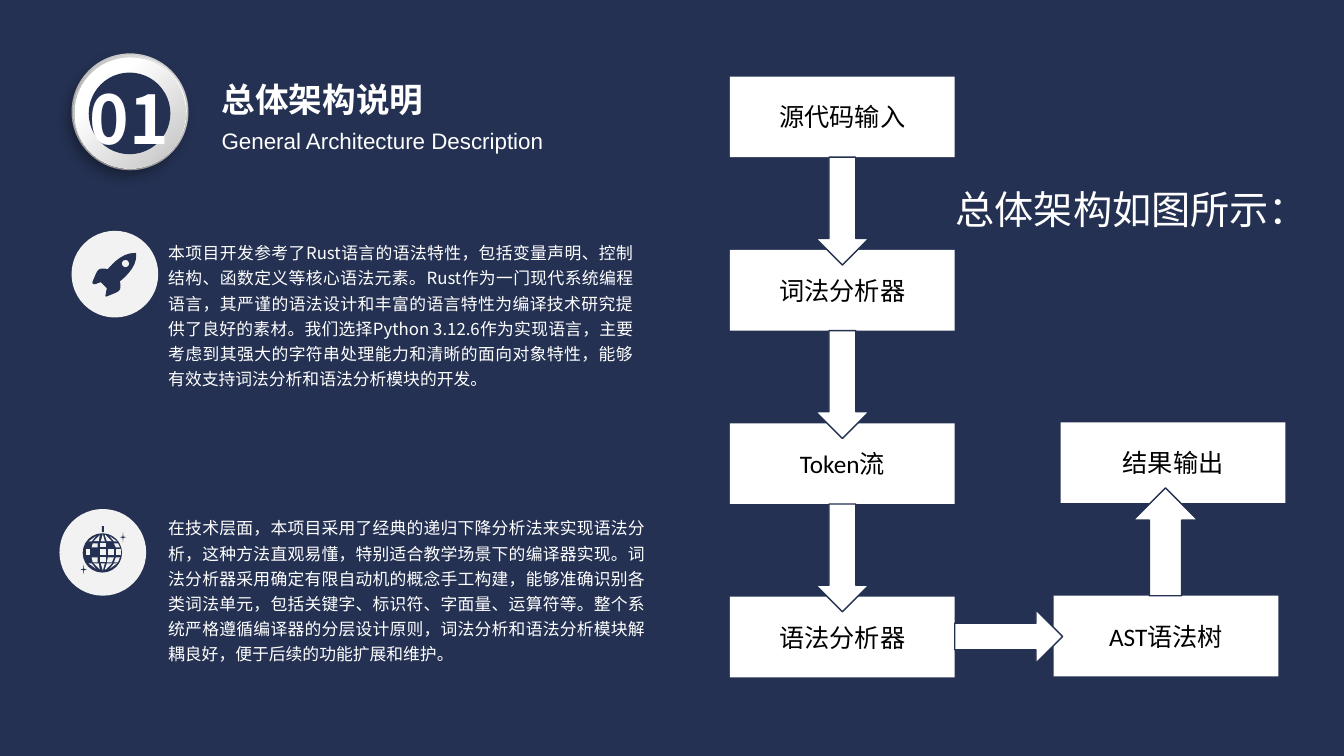
from lxml import etree
from pptx import Presentation
from pptx.dml.color import RGBColor
from pptx.enum.shapes import MSO_SHAPE
from pptx.enum.text import MSO_ANCHOR, PP_ALIGN
from pptx.oxml.ns import qn
from pptx.util import Inches, Pt

RECTANGLE, OVAL, STAR = MSO_SHAPE.RECTANGLE, MSO_SHAPE.OVAL, MSO_SHAPE.STAR_4_POINT
DOWN, RIGHT, UP = MSO_SHAPE.DOWN_ARROW, MSO_SHAPE.RIGHT_ARROW, MSO_SHAPE.UP_ARROW
CENTER, LEFT, JUSTIFY = PP_ALIGN.CENTER, PP_ALIGN.LEFT, PP_ALIGN.JUSTIFY
TOP, MIDDLE = MSO_ANCHOR.TOP, MSO_ANCHOR.MIDDLE

COLORS = {
    "navy": "243152", "white": "FFFFFF", "black": "000000", "disc": "F2F2F2",
    "rim": "D3D3D3", "outer": "B8B8B8", "inner": "BFBFBF",
}
CJK_FONT = "Noto Sans CJK SC"

SYNTAX_TEXT = (
    "本项目开发参考了Rust语言的语法特性，包括变量声明、控制结构、函数定义等核心语法元素。"
    "Rust作为一门现代系统编程语言，其严谨的语法设计和丰富的语言特性为编译技术研究提供了良好的素材。"
    "我们选择Python 3.12.6作为实现语言，主要考虑到其强大的字符串处理能力和清晰的面向对象特性，"
    "能够有效支持词法分析和语法分析模块的开发。"
)
TECHNIQUE_TEXT = (
    "在技术层面，本项目采用了经典的递归下降分析法来实现语法分析，这种方法直观易懂，"
    "特别适合教学场景下的编译器实现。词法分析器采用确定有限自动机的概念手工构建，"
    "能够准确识别各类词法单元，包括关键字、标识符、字面量、运算符等。"
    "整个系统严格遵循编译器的分层设计原则，词法分析和语法分析模块解耦良好，便于后续的功能扩展和维护。"
)

# Each rocket segment holds the control points after its start: three for a curve, one for a line.
ROCKET_START = (1.19, 2.79)
ROCKET = [
    [(1.19, 2.79), (1.37, 2.66), (1.35, 2.52)], [(1.35, 2.51)],
    [(1.34, 2.51), (1.34, 2.51), (1.34, 2.51)],
    [(1.2, 2.5), (1.07, 2.67), (1.07, 2.67)],
    [(0.96, 2.65), (0.97, 2.68), (0.92, 2.79)],
    [(0.91, 2.82), (0.93, 2.82), (0.95, 2.82)],
    [(0.96, 2.81), (1, 2.8), (1, 2.8)], [(1.06, 2.86)],
    [(1.06, 2.86), (1.05, 2.9), (1.05, 2.92)],
    [(1.04, 2.93), (1.05, 2.95), (1.06, 2.94)],
    [(1.18, 2.89), (1.21, 2.9), (1.19, 2.79)],
]

GLOBE_CENTER = (1.02, 5.48)
# Lit cells as offsets from the globe's centre: top, bottom, then left and right at each.
POLAR_CELLS = [
    (-0.16, -0.11, -0.07, -0.07, -0.14, -0.11), (-0.17, -0.11, -0.03, -0.03, -0.09, -0.04),
    (-0.18, -0.11, 0, 0, -0.02, 0.02),
    (-0.17, -0.11, 0.02, 0.03, 0.04, 0.09), (-0.16, -0.11, 0.07, 0.07, 0.11, 0.14),
]
BELT_CELLS = [
    (-0.09, -0.05, -0.1, -0.05, -0.11, -0.05), (-0.09, -0.05, -0.03, 0.03, -0.03, 0.03),
    (-0.09, -0.05, 0.11, 0.15, 0.13, 0.17),
    (-0.03, 0.03, -0.17, -0.13, -0.17, -0.13), (-0.03, 0.03, -0.03, 0.03, -0.03, 0.03),
    (-0.03, 0.03, 0.05, 0.11, 0.05, 0.11), (-0.03, 0.03, 0.13, 0.18, 0.13, 0.18),
    (0.05, 0.1, -0.11, -0.05, -0.1, -0.05), (0.05, 0.1, -0.03, 0.03, -0.03, 0.03),
    (0.05, 0.1, 0.05, 0.11, 0.04, 0.09), (0.05, 0.1, 0.13, 0.17, 0.11, 0.15),
]


def sample_curves(start, segments, steps=8):
    """Turn lines and cubic curves into a list of points."""
    points = [start]
    for segment in segments:
        if len(segment) == 1:
            points += segment
            continue
        corners = [points[-1], *segment]
        for step in range(1, steps + 1):
            t = step / steps
            weights = [(1 - t) ** 3, 3 * t * (1 - t) ** 2, 3 * t * t * (1 - t), t ** 3]
            points.append(tuple(sum(w * c[axis] for w, c in zip(weights, corners))
                                for axis in (0, 1)))
    return points


def color(name):
    return RGBColor.from_string(COLORS[name])


class SlideBuilder:
    def __init__(self, page):
        self.page = page
        page.background.fill.solid()
        page.background.fill.fore_color.rgb = color("navy")

    def paint(self, shape, fill, line=None):
        shape.shadow.inherit = False
        shape.fill.solid()
        shape.fill.fore_color.rgb = color(fill)
        if line:
            shape.line.color.rgb = color(line)
            shape.line.width = Pt(1)
        else:
            shape.line.fill.background()
        return shape

    def shape(self, kind, left, top, width, height, fill, line=None):
        shape = self.page.shapes.add_shape(
            kind, Inches(left), Inches(top), Inches(width), Inches(height))
        return self.paint(shape, fill, line)

    def gradient_disc(self, left, top, size, rotation, stops):
        disc = self.shape(OVAL, left, top, size, size, "white")
        disc.rotation = rotation
        disc.fill.gradient()
        disc.fill.gradient_angle = 315
        for stop, (position, name) in zip(disc.fill.gradient_stops, stops):
            stop.position = position
            stop.color.rgb = color(name)
        return disc

    def drop_shadow(self, shape):
        effects = shape.element.spPr.find(qn("a:effectLst"))
        shadow = etree.SubElement(
            effects, qn("a:outerShdw"), blurRad=str(Pt(10)), dist=str(Pt(5)),
            dir=str(123 * 60000), algn="ctr", rotWithShape="0")
        tint = etree.SubElement(shadow, qn("a:srgbClr"), val=COLORS["black"])
        etree.SubElement(tint, qn("a:alpha"), val="39000")

    def polygon(self, points, fill):
        corners = [(Inches(x), Inches(y)) for x, y in points]
        outline = self.page.shapes.build_freeform(*corners[0], scale=1.0)
        outline.add_line_segments(corners[1:], close=True)
        return self.paint(outline.convert_to_shape(), fill)

    def add_span(self, frame, text, size, font, ink, bold=False, align=LEFT, spacing=None):
        para = frame.paragraphs[0]
        para.alignment = align
        if spacing:
            para.line_spacing = Pt(spacing)
        span = para.add_run()
        span.text = text
        span.font.size = Pt(size)
        span.font.name = font
        span.font.bold = bold
        span.font.color.rgb = color(ink)
        etree.SubElement(span.font._element, qn("a:ea"), typeface=CJK_FONT)

    def text(self, left, top, width, height, text, size, font=CJK_FONT, wrap=True, **style):
        box = self.page.shapes.add_textbox(
            Inches(left), Inches(top), Inches(width), Inches(height))
        box.text_frame.word_wrap = wrap
        box.text_frame.vertical_anchor = TOP
        self.add_span(box.text_frame, text, size, font, "white", **style)

    def flow_box(self, left, top, label):
        box = self.shape(RECTANGLE, left, top, 2.23, 0.8, "white")
        box.text_frame.vertical_anchor = MIDDLE
        self.add_span(box.text_frame, label, 18, "Calibri", "black", align=CENTER)


def draw_badge(builder):
    builder.shape(OVAL, 0.71, 0.53, 1.16, 1.16, "rim")
    ring = builder.gradient_disc(0.73, 0.55, 1.12, 152.3, [(0.17, "white"), (0.88, "outer")])
    builder.drop_shadow(ring)
    builder.gradient_disc(0.74, 0.57, 1.1, 3, [(0.29, "white"), (0.98, "inner")])
    builder.shape(OVAL, 0.88, 0.72, 0.81, 0.81, "navy")
    builder.text(0.59, 0.66, 1.39, 0.91, "01", 48, bold=True, align=CENTER, spacing=62)


def draw_rocket(builder):
    builder.shape(OVAL, 0.71, 2.29, 0.86, 0.86, "disc")
    builder.polygon(sample_curves(ROCKET_START, ROCKET), "navy")
    builder.shape(OVAL, 1.21, 2.58, 0.07, 0.07, "disc")


def draw_globe(builder):
    builder.shape(OVAL, 0.59, 5.05, 0.86, 0.86, "disc")
    builder.shape(RECTANGLE, 1.01, 5.22, 0.02, 0.06, "navy")
    builder.shape(OVAL, 0.82, 5.29, 0.39, 0.39, "navy")
    x, y = GLOBE_CENTER
    south_cells = [(-top, -bottom, *sides) for top, bottom, *sides in POLAR_CELLS]
    for top, bottom, left1, right1, left2, right2 in POLAR_CELLS + BELT_CELLS + south_cells:
        builder.polygon([(x + left1, y + top), (x + right1, y + top),
                         (x + right2, y + bottom), (x + left2, y + bottom)], "disc")
    for left, top in ((1.19, 5.28), (0.8, 5.6)):
        builder.shape(STAR, left, top, 0.06, 0.1, "navy").adjustments[0] = 0.1


def draw_flow(builder):
    first_top, pitch = 0.76, 1.72
    steps = ["源代码输入", "词法分析器", "Token流", "语法分析器"]
    for row, label in enumerate(steps):
        builder.flow_box(7.24, first_top + row * pitch, label)
    for row in range(len(steps) - 1):
        builder.shape(DOWN, 8.09, first_top + 0.8 + row * pitch, 0.53, 1.07, "white", "navy")
    builder.flow_box(10.45, 5.91, "AST语法树")
    builder.flow_box(10.52, 4.19, "结果输出")
    builder.shape(RIGHT, 9.47, 6.05, 1.07, 0.53, "white", "navy")
    builder.shape(UP, 11.24, 4.84, 0.64, 1.07, "white", "navy")


def main():
    deck = Presentation()
    deck.slide_width, deck.slide_height = Inches(13.33), Inches(7.5)
    builder = SlideBuilder(deck.slides.add_slide(deck.slide_layouts[6]))
    draw_badge(builder)
    builder.text(2.1, 0.7, 4.4, 0.5, "总体架构说明", 24, bold=True, spacing=31)
    builder.text(2.1, 1.21, 4.46, 0.37, "General Architecture Description", 16, "Arial")
    draw_rocket(builder)
    draw_globe(builder)
    builder.text(1.57, 2.31, 4.81, 1.59, SYNTAX_TEXT, 12, align=JUSTIFY, spacing=18)
    builder.text(1.57, 5.04, 4.93, 1.59, TECHNIQUE_TEXT, 12, align=JUSTIFY, spacing=18)
    draw_flow(builder)
    builder.text(9.38, 1.76, 3.74, 0.57, "总体架构如图所示：", 28, "Calibri", wrap=False, spacing=36)
    deck.save("out.pptx")


if __name__ == "__main__":
    main()
